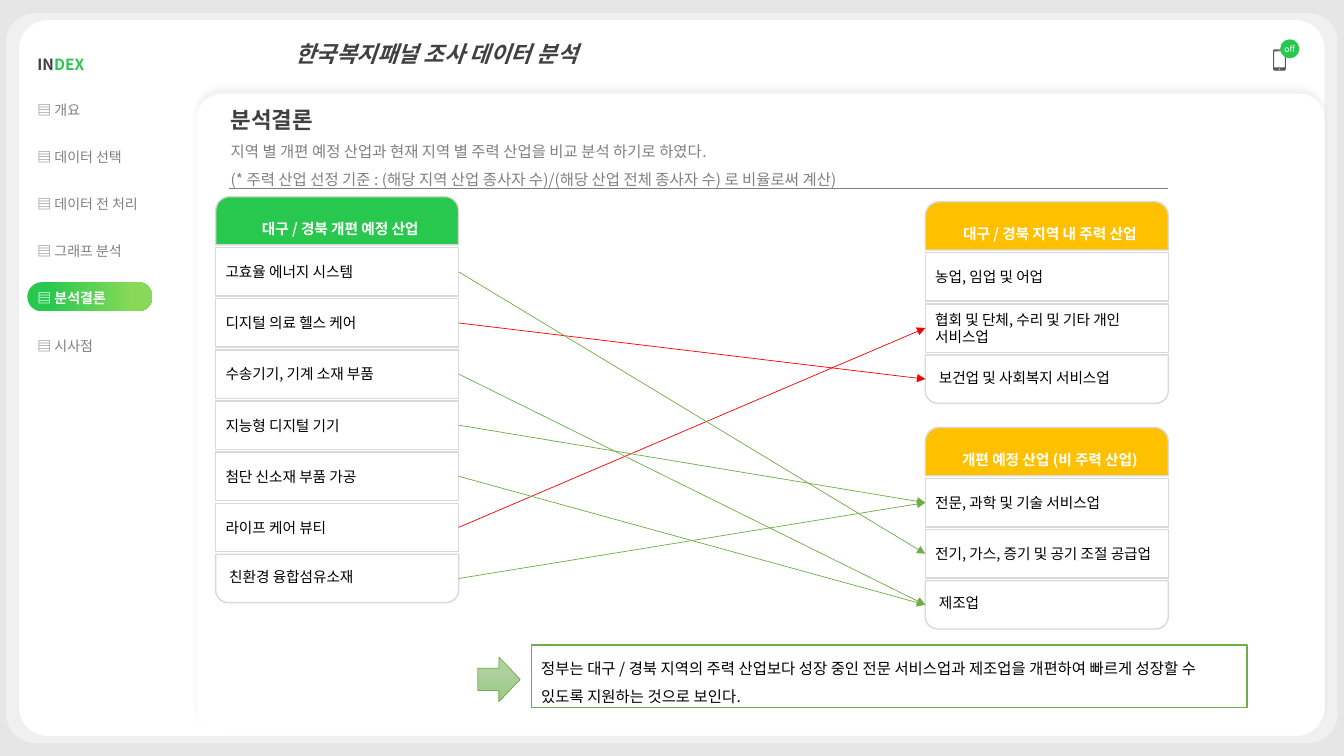
import dataclasses

import pptx
import pptx.dml.color
import pptx.enum.dml
import pptx.enum.shapes
import pptx.enum.text
import pptx.oxml
import pptx.oxml.ns
import pptx.util
from lxml import etree

SHAPE = pptx.enum.shapes.MSO_SHAPE
ALIGN = pptx.enum.text.PP_ALIGN
ANCHOR = pptx.enum.text.MSO_ANCHOR
WIDTH = pptx.util.Inches(13.33)
HEIGHT = pptx.util.Inches(7.5)


@dataclasses.dataclass(frozen=True)
class Theme:
    font: str = "Noto Sans CJK KR"
    backdrop: str = "E7E6E6"
    white: str = "FFFFFF"
    black: str = "000000"
    dark: str = "404040"
    icon: str = "595959"
    gray: str = "808080"
    border: str = "D9D9D9"
    green: str = "28C84E"
    lime: str = "88D959"
    amber: str = "FFC000"
    leaf: str = "70AD47"
    leaf_top: str = "B5D5A7"
    leaf_bottom: str = "9CC987"
    red: str = "FF0000"
    title: float = 16
    body: float = 11
    card: float = 10.5
    menu: float = 10
    badge: float = 6


THEME = Theme()
CARD_WIDTH, CARD_HEIGHT, CARD_PITCH = 18.08, 6.4, 6.76
MENU = ["개요", "데이터 선택", "데이터 전 처리", "그래프 분석", "분석결론", "시사점"]
ACTIVE = "분석결론"
PLANNED = ["고효율 에너지 시스템", "디지털 의료 헬스 케어", "수송기기, 기계 소재 부품",
           "지능형 디지털 기기", "첨단 신소재 부품 가공", "라이프 케어 뷰티", "친환경 융합섬유소재"]
CORE = ["농업, 임업 및 어업", "협회 및 단체, 수리 및 기타 개인 서비스업", "보건업 및 사회복지 서비스업"]
OTHER = ["전문, 과학 및 기술 서비스업", "전기, 가스, 증기 및 공기 조절 공급업", "제조업"]


def across(percent):
    return round(WIDTH * percent / 100)


def down(percent):
    return round(HEIGHT * percent / 100)


def area(left, top, width, height):
    return across(left), down(top), across(width), down(height)


def color(code):
    return pptx.dml.color.RGBColor.from_string(code)


def style_run(run, size, code, bold=False, italic=False):
    font = run.font
    font.name, font.size = THEME.font, pptx.util.Pt(size)
    font.bold, font.italic = bold, italic
    font.color.rgb = color(code)
    east_asian = etree.SubElement(run._r.get_or_add_rPr(), pptx.oxml.ns.qn("a:ea"))
    east_asian.set("typeface", THEME.font)


def write(text_frame, text, size, code, bold=False, italic=False,
          align=ALIGN.LEFT, spacing=None):
    text_frame.text = text
    for paragraph in text_frame.paragraphs:
        paragraph.alignment = align
        paragraph.line_spacing = spacing
        for run in paragraph.runs:
            style_run(run, size, code, bold, italic)


def add_block(slide, kind, box, fill=None, line=None, weight=1, adjustments=()):
    shape = slide.shapes.add_shape(kind, *area(*box))
    shape.shadow.inherit = False
    for index, value in enumerate(adjustments):
        shape.adjustments[index] = value
    if fill:
        shape.fill.solid()
        shape.fill.fore_color.rgb = color(fill)
    if line:
        shape.line.color.rgb = color(line)
        shape.line.width = pptx.util.Pt(weight)
    else:
        shape.line.fill.background()
    return shape


def add_gradient(shape, stops, angle):
    shape.fill.gradient()
    shape.fill.gradient_angle = angle
    for stop, (position, code) in zip(shape.fill.gradient_stops, stops):
        stop.position = position
        stop.color.rgb = color(code)


def add_shadow(shape, code, alpha, blur=0, distance=0, direction=0, scale=100):
    effects = shape._element.spPr.find(pptx.oxml.ns.qn("a:effectLst"))
    effects.append(pptx.oxml.parse_xml(
        f'<a:outerShdw {pptx.oxml.ns.nsdecls("a")} blurRad="{pptx.util.Pt(blur)}" '
        f'dist="{pptx.util.Pt(distance)}" dir="{direction * 60000}" '
        f'sx="{scale * 1000}" sy="{scale * 1000}" algn="ctr" rotWithShape="0">'
        f'<a:srgbClr val="{code}"><a:alpha val="{alpha * 1000}"/></a:srgbClr></a:outerShdw>'))


def add_label(slide, box, text, wrap=True, **style):
    text_frame = slide.shapes.add_textbox(*area(*box)).text_frame
    text_frame.word_wrap = wrap
    write(text_frame, text, **style)
    return text_frame


def add_line(slide, begin, end, code, weight, arrow=False):
    connector = slide.shapes.add_connector(
        pptx.enum.shapes.MSO_CONNECTOR.STRAIGHT, *begin, *end)
    connector.line.color.rgb = color(code)
    connector.line.width = pptx.util.Pt(weight)
    if arrow:
        head = etree.SubElement(connector.line._get_or_add_ln(), pptx.oxml.ns.qn("a:tailEnd"))
        head.set("type", "triangle")
    etree.SubElement(connector._element.spPr, pptx.oxml.ns.qn("a:effectLst"))


def add_cards(slide, left, top, heading, header_fill, items):
    cards = []
    for row, text in enumerate([heading, *items]):
        is_header, is_last = row == 0, row == len(items)
        card = add_block(
            slide, SHAPE.ROUND_2_SAME_RECTANGLE,
            (left, top + row * CARD_PITCH, CARD_WIDTH, CARD_HEIGHT),
            header_fill if is_header else THEME.white, THEME.border,
            adjustments=(0.29 if is_header else 0, 0.26 if is_last else 0))
        text_frame = card.text_frame
        text_frame.word_wrap = True
        text_frame.vertical_anchor = ANCHOR.MIDDLE
        if is_header:
            text_frame.margin_top = down(2.2)
            text_frame.margin_left = across(1.2)
        write(text_frame, text, THEME.card, THEME.white if is_header else THEME.black,
              bold=is_header, align=ALIGN.CENTER if is_header else ALIGN.LEFT)
        cards.append(card)
    return cards[1:]


def link_cards(slide, source, target, code):
    add_line(slide, (source.left + source.width, source.top + source.height // 2),
             (target.left, target.top + target.height // 2), code, 0.5, arrow=True)


def add_menu(slide):
    frame = slide.shapes.add_table(9, 1, *area(2.03, 4.53, 12, 56))
    frame._element.find(".//" + pptx.oxml.ns.qn("a:tableStyleId")).text = \
        "{2D5ABB26-0587-4C30-8999-92F81FD0307C}"
    table = frame.table
    table.first_row = table.horz_banding = False
    for row in range(9):
        cell = table.cell(row, 0)
        cell.fill.background()
        cell.vertical_anchor = ANCHOR.MIDDLE
    index_frame = table.cell(0, 0).text_frame
    paragraph = index_frame.paragraphs[0]
    paragraph.line_spacing = 1.5
    for text, code in (("IN", THEME.dark), ("DEX", THEME.green)):
        run = paragraph.add_run()
        run.text = text
        style_run(run, THEME.body, code, bold=True)
    for row, name in enumerate(MENU, 1):
        active = name == ACTIVE
        write(table.cell(row, 0).text_frame, f"▤ {name}", THEME.menu,
              THEME.white if active else THEME.gray, bold=active, spacing=1.5)


def add_phone(slide):
    outlines = [
        [(9480, 653), (9560, 653), (9567, 667), (9567, 919), (9560, 933),
         (9480, 933), (9473, 919), (9473, 667)],
        [(9480, 680), (9480, 893), (9560, 893), (9560, 680)],
        [(9510, 662), (9510, 669), (9533, 669), (9533, 662)],
        [(9516, 907), (9516, 922), (9526, 922), (9526, 907)]]
    builder = slide.shapes.build_freeform(*outlines[0][0], scale=(WIDTH / 10000, HEIGHT / 10000))
    for index, points in enumerate(outlines):
        if index:
            builder.move_to(*points[0])
        builder.add_line_segments(points[1:], close=True)
    phone = builder.convert_to_shape()
    phone.shadow.inherit = False
    phone.fill.solid()
    phone.fill.fore_color.rgb = color(THEME.icon)
    phone.line.fill.background()


def add_badge(slide):
    badge = add_block(slide, SHAPE.OVAL, (95.25, 5.2, 1.43, 2.53), THEME.green)
    text_frame = badge.text_frame
    text_frame.word_wrap = False
    text_frame.vertical_anchor = ANCHOR.MIDDLE
    text_frame.margin_left = text_frame.margin_right = across(0.3)
    text_frame.margin_top = text_frame.margin_bottom = down(0.5)
    write(text_frame, "off", THEME.badge, THEME.white, align=ALIGN.CENTER)


def add_heading(slide):
    text_frame = add_label(
        slide, (16.43, 11.6, 70.5, 13.6),
        "분석결론\n지역 별 개편 예정 산업과 현재 지역 별 주력 산업을 비교 분석 하기로 하였다.\n"
        "(* 주력 산업 선정 기준 : (해당 지역 산업 종사자 수)/(해당 산업 전체 종사자 수) 로 비율로써 계산)",
        size=THEME.body, code=THEME.gray, spacing=1.5)
    font = text_frame.paragraphs[0].runs[0].font
    font.size, font.bold = pptx.util.Pt(THEME.title), True
    font.color.rgb = color(THEME.dark)


def add_conclusion(slide):
    box = add_block(slide, SHAPE.RECTANGLE, (39.53, 85.33, 53.25, 8.27), THEME.white, THEME.leaf)
    box.text_frame.word_wrap = True
    box.text_frame.vertical_anchor = ANCHOR.TOP
    write(box.text_frame, "정부는 대구 / 경북 지역의 주력 산업보다 성장 중인 전문 서비스업과 제조업을 "
          "개편하여 빠르게 성장할 수 있도록 지원하는 것으로 보인다.",
          THEME.body, THEME.black, spacing=1.5)
    arrow = add_block(slide, SHAPE.RIGHT_ARROW, (35.55, 86.93, 3.15, 5.87),
                      line=THEME.leaf, weight=0.5)
    add_gradient(arrow, [(0, THEME.leaf_top), (1, THEME.leaf_bottom)], 270)


def main():
    presentation = pptx.Presentation()
    presentation.slide_width, presentation.slide_height = WIDTH, HEIGHT
    slide = presentation.slides.add_slide(presentation.slide_layouts[6])
    slide.background.fill.solid()
    slide.background.fill.fore_color.rgb = color(THEME.backdrop)

    window = add_block(slide, SHAPE.ROUNDED_RECTANGLE, (1.43, 2.67, 97.13, 94.67),
                       THEME.white, adjustments=(0.04,))
    add_shadow(window, THEME.white, 40, scale=102)
    pill = add_block(slide, SHAPE.ROUNDED_RECTANGLE, (2.03, 37.33, 9.3, 3.87), adjustments=(0.5,))
    add_gradient(pill, [(0.16, THEME.green), (0.84, THEME.lime)], 0)
    add_label(slide, (19.88, 4.67, 25.2, 4.93), "한국복지패널 조사 데이터 분석", wrap=False,
              size=THEME.title, code=THEME.dark, bold=True, italic=True, align=ALIGN.CENTER)
    add_phone(slide)
    add_badge(slide)
    panel = add_block(slide, SHAPE.ROUNDED_RECTANGLE, (14.63, 12.4, 83.93, 84.53),
                      THEME.white, adjustments=(0.04,))
    add_shadow(panel, THEME.black, 5, blur=4, distance=3, direction=270)
    add_line(slide, (across(17.03), down(24.93)), (across(86.93), down(24.93)), THEME.gray, 1)
    add_heading(slide)
    add_menu(slide)

    planned = add_cards(slide, 16.05, 26, "대구 / 경북 개편 예정 산업", THEME.green, PLANNED)
    core = add_cards(slide, 68.85, 26.67, "대구 / 경북 지역 내 주력 산업", THEME.amber, CORE)
    add_conclusion(slide)
    other = add_cards(slide, 68.85, 56.53, "개편 예정 산업 (비 주력 산업)", THEME.amber, OTHER)
    for source, target in ((1, 2), (5, 1)):
        link_cards(slide, planned[source], core[target], THEME.red)
    for source, target in ((2, 2), (4, 2), (0, 1), (3, 0), (6, 0)):
        link_cards(slide, planned[source], other[target], THEME.leaf)
    presentation.save("out.pptx")


if __name__ == "__main__":
    main()
